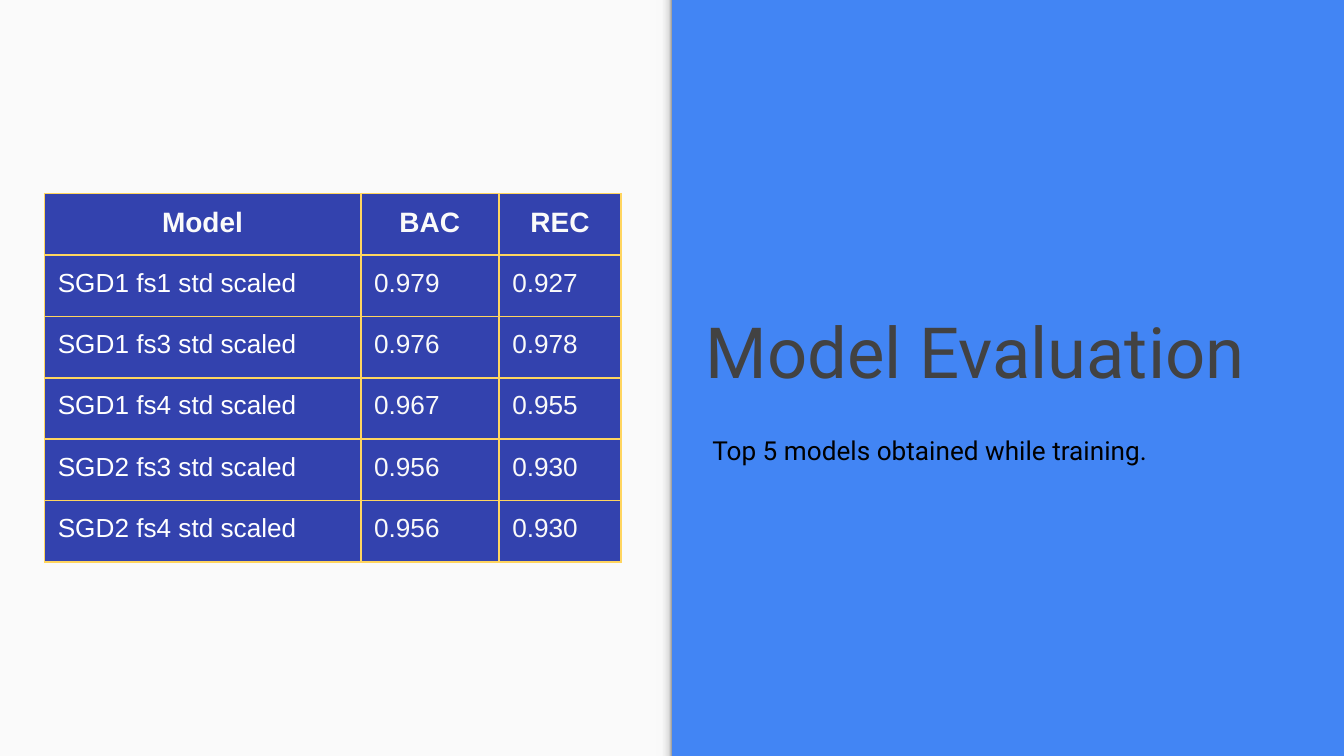
from lxml import etree
from pptx import Presentation
from pptx.dml.color import RGBColor
from pptx.enum.shapes import MSO_SHAPE
from pptx.enum.text import MSO_ANCHOR, MSO_AUTO_SIZE, PP_ALIGN
from pptx.oxml.ns import qn
from pptx.util import Pt

RECTANGLE = MSO_SHAPE.RECTANGLE
BOTTOM = MSO_ANCHOR.BOTTOM
GROW = MSO_AUTO_SIZE.SHAPE_TO_FIT_TEXT
LEFT, CENTER, JUSTIFY = PP_ALIGN.LEFT, PP_ALIGN.CENTER, PP_ALIGN.JUSTIFY
WIDTH, HEIGHT = 720, 405
INSET = Pt(7.2)


def color(hex_value):
    return RGBColor.from_string(hex_value)


def format_text(paragraph, font_name, size, hex_value, alignment=LEFT, bold=False):
    paragraph.alignment = alignment
    for run in paragraph.runs:
        run.font.name = font_name
        run.font.size = Pt(size)
        run.font.bold = bold
        run.font.color.rgb = color(hex_value)


presentation = Presentation()
presentation.slide_width = Pt(WIDTH)
presentation.slide_height = Pt(HEIGHT)
slide = presentation.slides.add_slide(presentation.slide_layouts[6])

# Blue background with a light left half
slide.background.fill.solid()
slide.background.fill.fore_color.rgb = color("4285F4")
panel = slide.shapes.add_shape(RECTANGLE, 0, 0, Pt(WIDTH / 2), Pt(HEIGHT))
panel.shadow.inherit = False
panel.fill.solid()
panel.fill.fore_color.rgb = color("FAFAFA")
panel.line.fill.background()

# Shaded strip along the panel's right edge, turned upright
depth = 8.5
edge = slide.shapes.add_shape(
    RECTANGLE, Pt((WIDTH - depth - HEIGHT) / 2), Pt((HEIGHT - depth) / 2),
    Pt(HEIGHT), Pt(depth))
edge.rotation = 90
edge.shadow.inherit = False
edge.line.fill.background()
edge.fill.gradient()
edge.fill.gradient_angle = 90
stops = edge.fill._fill._gradFill.find(qn("a:gsLst"))
for stop in list(stops):
    stops.remove(stop)
for percent, shade in [(0, "F9F9F9"), (36, "F9F9F9"), (80, "DEDEDE"), (100, "999999")]:
    stop = etree.SubElement(stops, qn("a:gs"), pos=str(percent * 1000))
    etree.SubElement(stop, qn("a:srgbClr"), val=shade)

# Title and subtitle
texts = [
    ("Model Evaluation", (371, 148.5, 318, 69), 37.8, "424242", LEFT),
    ("Top 5 models obtained while training.", (374.5, 225.5, 345.5, 31.5), 14, "000000", JUSTIFY),
]
text_frames = []
for text, box, size, hex_value, alignment in texts:
    text_frame = slide.shapes.add_textbox(*map(Pt, box)).text_frame
    text_frame.word_wrap = True
    text_frame.margin_left = text_frame.margin_right = INSET
    text_frame.margin_top = text_frame.margin_bottom = INSET
    text_frame.text = text
    format_text(text_frame.paragraphs[0], "Roboto", size, hex_value, alignment)
    text_frames.append(text_frame)
title_frame, subtitle_frame = text_frames
title_frame.vertical_anchor = BOTTOM
subtitle_frame.auto_size = GROW

# Table of model scores
rows = [
    ("Model", "BAC", "REC"),
    ("SGD1 fs1 std scaled", "0.979", "0.927"),
    ("SGD1 fs3 std scaled", "0.976", "0.978"),
    ("SGD1 fs4 std scaled", "0.967", "0.955"),
    ("SGD2 fs3 std scaled", "0.956", "0.930"),
    ("SGD2 fs4 std scaled", "0.956", "0.930"),
]
column_widths = [169.5, 74, 65.5]
row_height = 32.9
table = slide.shapes.add_table(
    len(rows), len(column_widths), Pt(23.75), Pt(103.75),
    Pt(sum(column_widths)), Pt(row_height * len(rows))).table
for column, width in zip(table.columns, column_widths):
    column.width = Pt(width)
for row_index, values in enumerate(rows):
    table.rows[row_index].height = Pt(row_height)
    for column_index, value in enumerate(values):
        cell = table.cell(row_index, column_index)
        cell.margin_left = cell.margin_right = INSET
        cell.margin_top = cell.margin_bottom = INSET
        cell.text = value
        paragraph = cell.text_frame.paragraphs[0]
        if row_index == 0:
            format_text(paragraph, "Arial", 15, "FAFAFA", CENTER, True)
        else:
            format_text(paragraph, "Arial", 14, "FAFAFA" if column_index else "FFFFFF")

        # Borders come before the fill in the cell properties
        properties = cell._tc.get_or_add_tcPr()
        for side in ("a:lnL", "a:lnR", "a:lnT", "a:lnB"):
            border = etree.SubElement(properties, qn(side), w=str(Pt(1)))
            border_fill = etree.SubElement(border, qn("a:solidFill"))
            etree.SubElement(border_fill, qn("a:srgbClr"), val="FFD55F")
        cell.fill.solid()
        cell.fill.fore_color.rgb = color("3342AE")

presentation.save("out.pptx")
